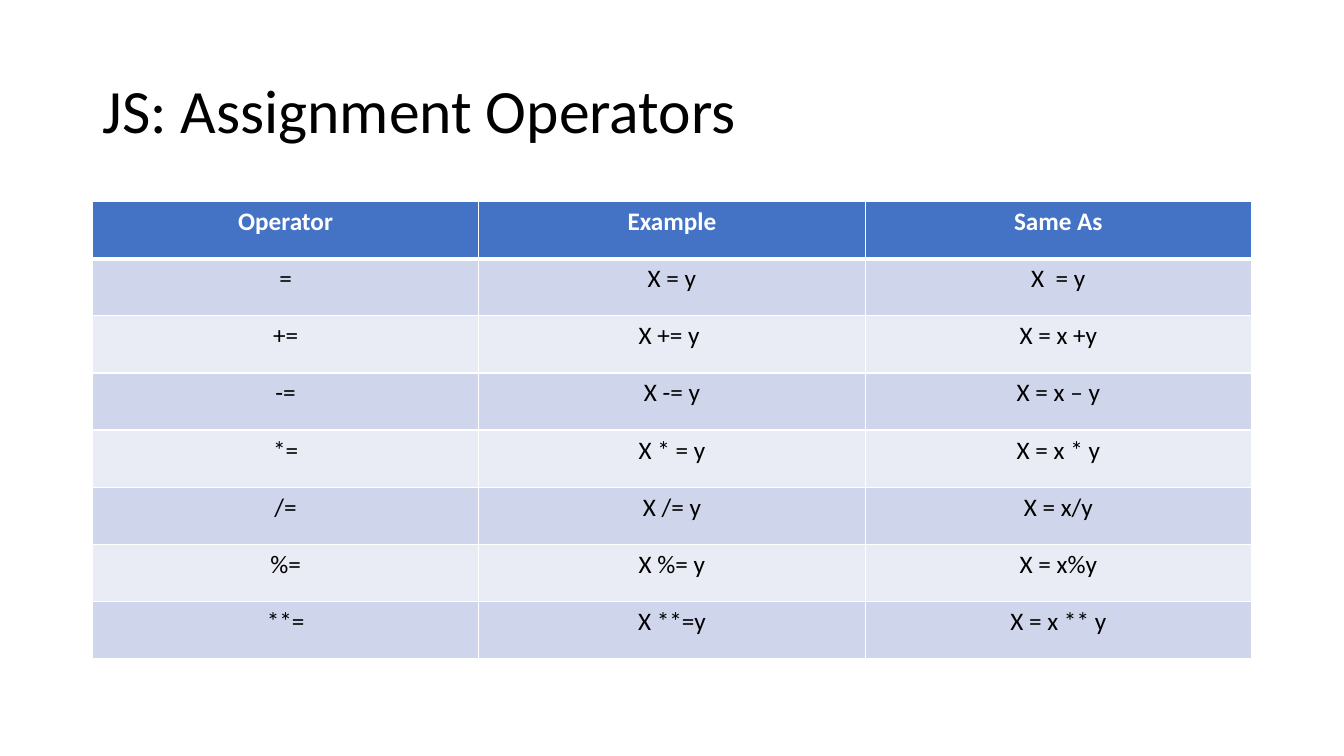
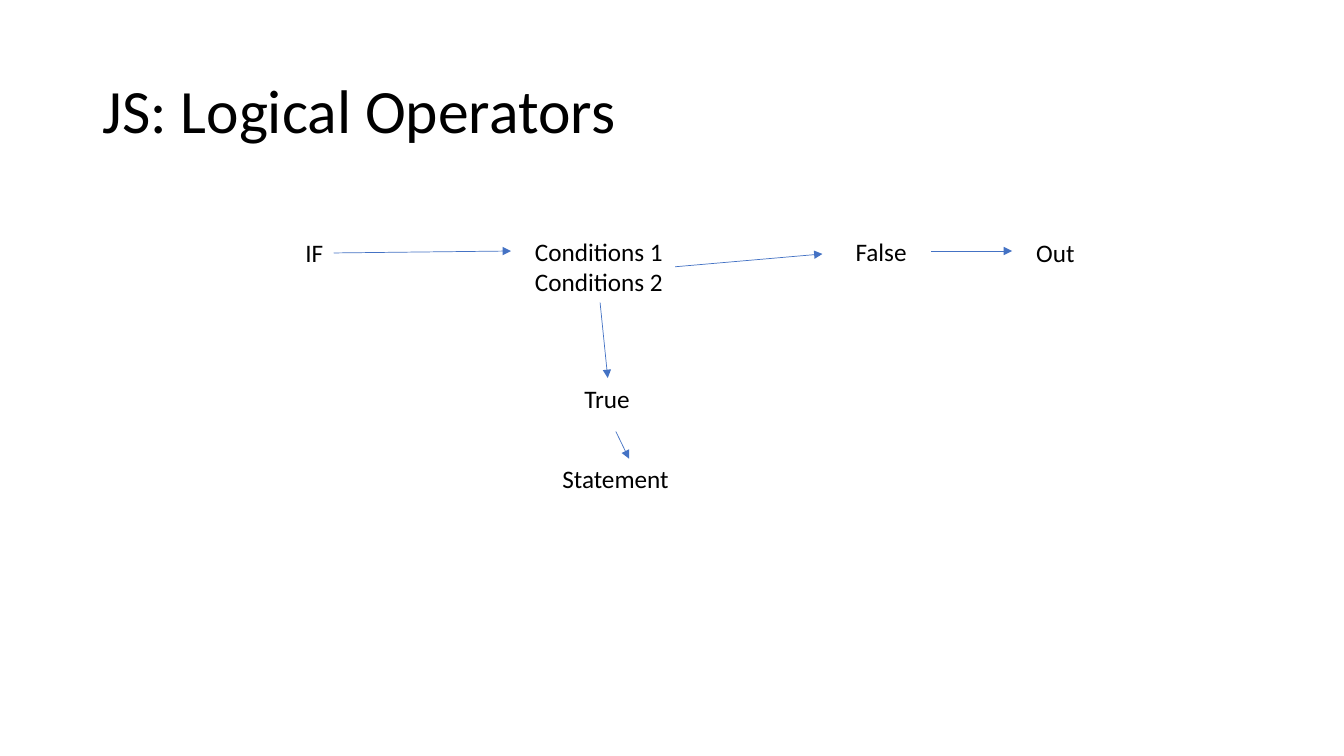
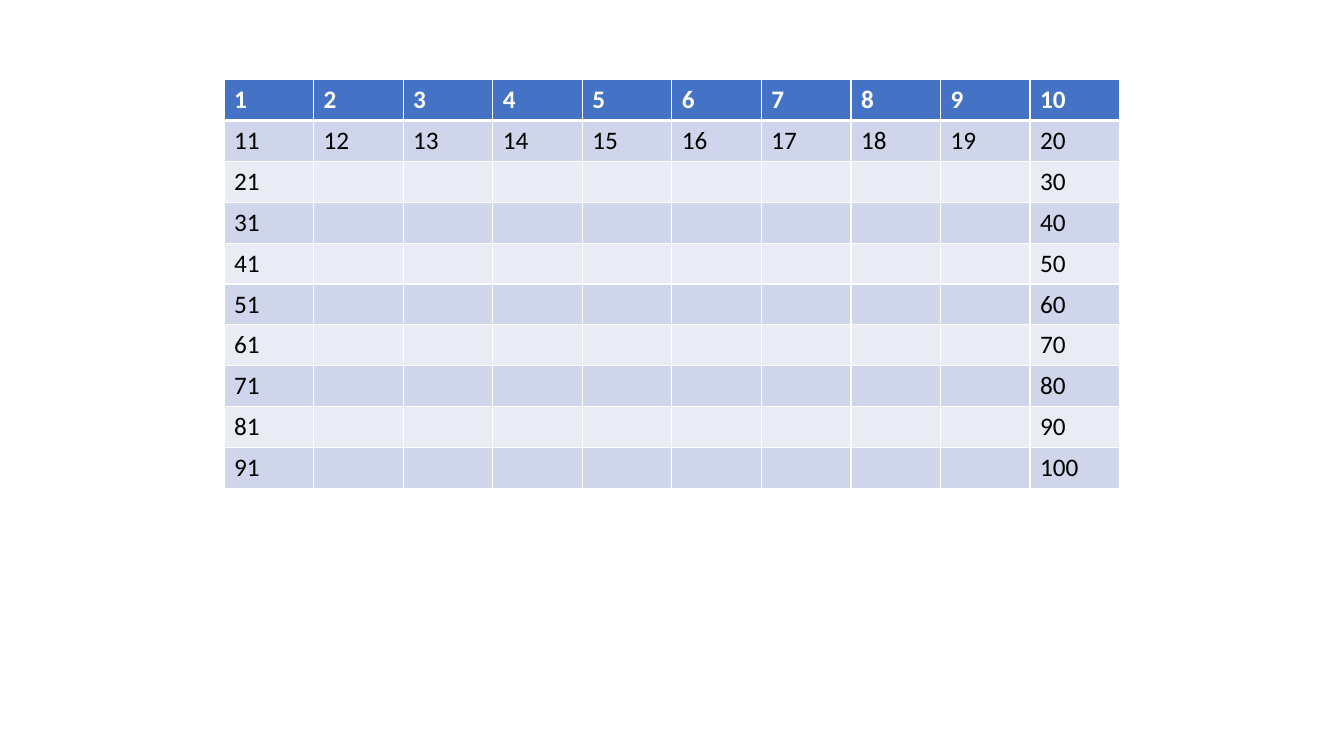
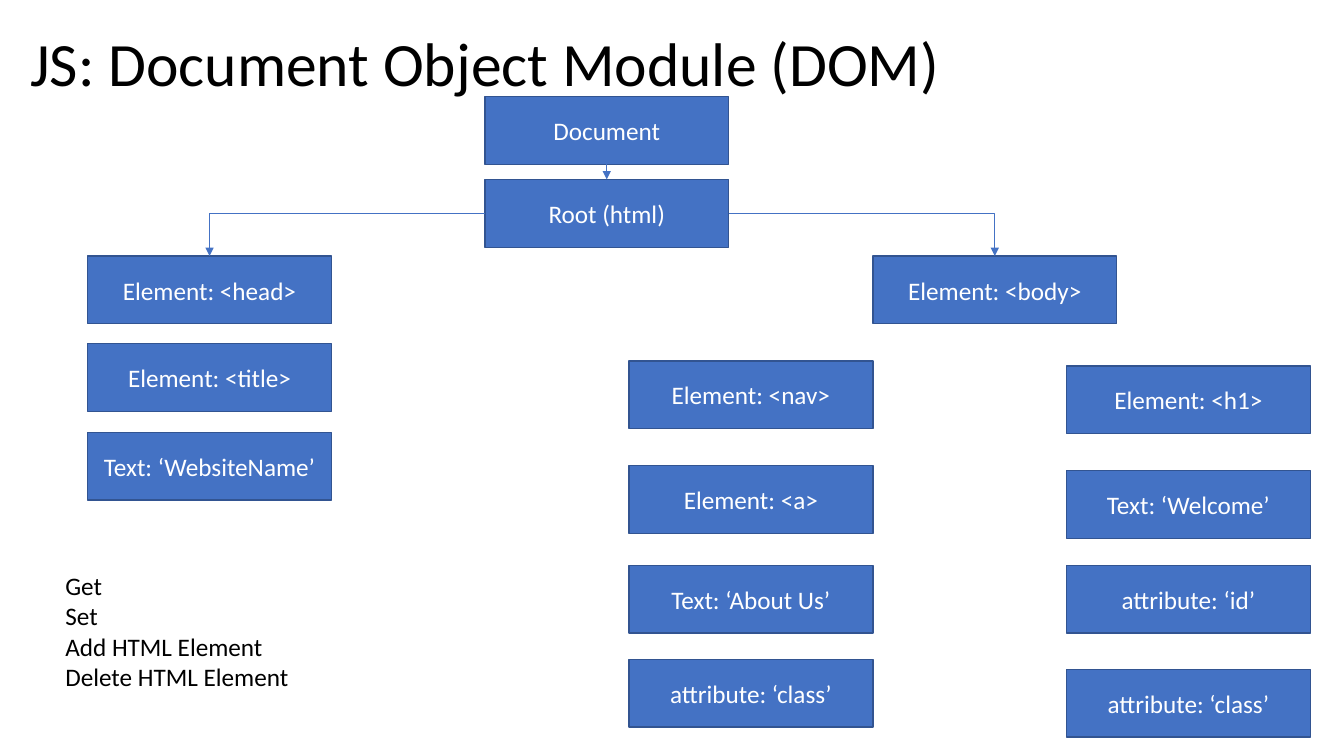
from lxml import etree
from pptx import Presentation
from pptx.dml.color import RGBColor as RGB
from pptx.enum.shapes import MSO_CONNECTOR as CONN, MSO_SHAPE as SHAPE
from pptx.enum.text import MSO_ANCHOR as ANCHOR, MSO_AUTO_SIZE as AUTO, PP_ALIGN as ALIGN
from pptx.oxml.ns import qn
from pptx.util import Pt

COLORS = {"text": "000000", "white": "FFFFFF", "blue": "4472C4",
          "edge": "325491", "odd": "CFD5EA", "even": "E9EBF5"}
FONT = "Calibri"
TITLE_BOX = (66, 28.8, 828, 104.4)

OPERATORS = [
    ("Operator", "Example", "Same As"),
    ("=", "X = y", "X  = y"),
    ("+=", "X += y ", "X = x +y"),
    ("-=", "X -= y", "X = x – y"),
    ("*=", "X * = y", "X = x * y"),
    ("/=", "X /= y", "X = x/y"),
    ("%=", "X %= y", "X = x%y"),
    ("**=", "X **=y", "X = x ** y"),
]
NUMBERS = [[str(10 * r + c + 1) if r < 2 or c in (0, 9) else "" for c in range(10)]
           for r in range(10)]
FLOW_NODES = {
    "IF": (0, 1.3, 27.4, 28.8),
    "Conditions 1\nConditions 2": (164, 0, 107.3, 51.1),
    "True": (199.4, 105, 47.5, 28.8),
    "False": (393, 0, 51.1, 28.8),
    "Statement": (183.6, 162.6, 91.4, 28.8),
    "Out": (522, 1.3, 42.5, 28.8),
}
DOM_COLUMNS = [
    (283.7, [("Document", 0), ("Root (html)", 59.1)]),
    (0, [("Element: <head>", 113.8), ("Element: <title>", 176.4),
         ("Text: ‘WebsiteName’", 239.8)]),
    (560.9, [("Element: <body>", 113.8)]),
    (386.7, [("Element: <nav>", 188.7), ("Element: <a>", 263.5),
             ("Text: ‘About Us’", 334.8), ("attribute: ‘class’", 401.8)]),
    (699.2, [("Element: <h1>", 192.3), ("Text: ‘Welcome’", 267.1),
             ("attribute: ‘id’", 334.8), ("attribute: ‘class’", 409)]),
]


def rgb(name):
    """Return a palette colour."""
    return RGB.from_string(COLORS[name])


def pts(*values):
    """Convert numbers to point lengths."""
    return [Pt(v) for v in values]


def put_text(tf, text, size=18, color="text", bold=False, align=ALIGN.LEFT, spacing=None):
    """Write one paragraph per line of text in the given format."""
    for i, line in enumerate(text.split("\n")):
        p = tf.add_paragraph() if i else tf.paragraphs[0]
        p.alignment = align
        if spacing:
            p.line_spacing = spacing
        r = p.add_run()
        r.text = line
        r.font.name, r.font.size, r.font.bold = FONT, Pt(size), bold
        r.font.color.rgb = rgb(color)


def titled_slide(prs, text, box=TITLE_BOX):
    """Add a title-only slide with its title in the box."""
    slide = prs.slides.add_slide(prs.slide_layouts[5])
    sp = slide.shapes.title
    sp.left, sp.top, sp.width, sp.height = pts(*box)
    tf = sp.text_frame
    tf.auto_size, tf.vertical_anchor, tf.word_wrap = AUTO.NONE, ANCHOR.MIDDLE, True
    put_text(tf, text, size=44, spacing=0.9)
    return slide


def label(slide, text, box):
    """Add an unwrapped text box."""
    sp = slide.shapes.add_textbox(*pts(*box))
    sp.text_frame.word_wrap = False
    sp.text_frame.auto_size = AUTO.SHAPE_TO_FIT_TEXT
    put_text(sp.text_frame, text)
    return sp


def node(slide, text, box):
    """Add a filled rectangle with centred text."""
    sp = slide.shapes.add_shape(SHAPE.RECTANGLE, *pts(*box))
    sp.shadow.inherit = False
    sp.fill.solid()
    sp.fill.fore_color.rgb = rgb("blue")
    sp.line.color.rgb = rgb("edge")
    sp.line.width = Pt(1)
    sp.text_frame.word_wrap = True
    sp.text_frame.vertical_anchor = ANCHOR.MIDDLE
    put_text(sp.text_frame, text, color="white", align=ALIGN.CENTER)
    return sp


def arrow(slide, start, end, bent=False):
    """Draw an arrow between two ends, each a point or a (shape, side) pair."""
    kind = CONN.ELBOW if bent else CONN.STRAIGHT
    cxn = slide.shapes.add_connector(kind, 0, 0, 0, 0)
    if hasattr(start[0], "shape_id"):
        cxn.begin_connect(*start)
    else:
        cxn.begin_x, cxn.begin_y = pts(*start)
    if hasattr(end[0], "shape_id"):
        cxn.end_connect(*end)
    else:
        cxn.end_x, cxn.end_y = pts(*end)
    cxn.line.color.rgb = rgb("blue")
    cxn.line.width = Pt(0.5)
    sp_pr = cxn._element.spPr
    if bent:
        sp_pr.find(qn("a:prstGeom")).set("prst", "bentConnector2")
    etree.SubElement(sp_pr.find(qn("a:ln")), qn("a:tailEnd"), type="triangle")
    etree.SubElement(sp_pr, qn("a:effectLst"))


def set_borders(cell, top=1, bottom=1):
    """Give a cell white borders."""
    tc_pr = cell._tc.get_or_add_tcPr()
    for side, width in (("L", 1), ("R", 1), ("T", top), ("B", bottom)):
        ln = etree.SubElement(tc_pr, qn(f"a:ln{side}"), w=str(Pt(width)))
        fill = etree.SubElement(ln, qn("a:solidFill"))
        etree.SubElement(fill, qn("a:srgbClr"), val=COLORS["white"])


def banded_table(slide, rows, box, align=ALIGN.LEFT):
    """Fill the box with an even grid under a blue header row."""
    n_rows, n_cols = len(rows), len(rows[0])
    table = slide.shapes.add_table(n_rows, n_cols, *pts(*box)).table
    for col in table.columns:
        col.width = Pt(box[2] / n_cols)
    for i, values in enumerate(rows):
        table.rows[i].height = Pt(box[3] / n_rows)
        header = i == 0
        fill = "blue" if header else "odd" if i % 2 else "even"
        for cell, text in zip(table.rows[i].cells, values):
            set_borders(cell, top=3 if i == 1 else 1, bottom=3 if header else 1)
            cell.fill.solid()
            cell.fill.fore_color.rgb = rgb(fill)
            if text:
                put_text(cell.text_frame, text, bold=header, align=align,
                         color="white" if header else "text")


def condition_flow(slide, x, y):
    """Draw the flow of a condition from its top left corner."""
    start, conditions, true, *_ = [
        label(slide, text, (x + dx, y + dy, w, h))
        for text, (dx, dy, w, h) in FLOW_NODES.items()]
    arrow(slide, (start, 3), (x + 154, y + 14.3))
    arrow(slide, (conditions, 2), (true, 0))
    arrow(slide, (conditions, 3), (x + 376.5, y + 16.4))
    arrow(slide, (x + 454.3, y + 14.3), (x + 511.9, y + 14.3))
    arrow(slide, (x + 228.9, y + 143.2), (x + 238.3, y + 162.6))


def dom_tree(slide, x, y):
    """Draw the document tree from its top left corner."""
    columns = [[node(slide, text, (x + dx, y + dy, 174.2, 48.4)) for text, dy in items]
               for dx, items in DOM_COLUMNS]
    (document, root), (head, *_), (body,) = columns[:3]
    arrow(slide, (document, 2), (root, 0))
    arrow(slide, (root, 1), (head, 0), bent=True)
    arrow(slide, (root, 3), (body, 0), bent=True)


def main():
    """Build and save the presentation."""
    prs = Presentation()
    prs.slide_width, prs.slide_height = pts(960, 540)

    slide = titled_slide(prs, "JS: Assignment Operators")
    banded_table(slide, OPERATORS, (66, 144, 828, 326.4), align=ALIGN.CENTER)

    slide = titled_slide(prs, "JS: Logical Operators")
    condition_flow(slide, 211, 165)

    slide = prs.slides.add_slide(prs.slide_layouts[6])
    banded_table(slide, NUMBERS, (160, 56.9, 640, 292))

    slide = titled_slide(prs, "JS: Document Object Module (DOM)", (14.4, 18, 696.2, 59))
    dom_tree(slide, 62.6, 69.1)
    label(slide, "Get\nSet\nAdd HTML Element\nDelete HTML Element", (39.6, 403.9, 175.7, 94.3))

    prs.save("out.pptx")


if __name__ == "__main__":
    main()
